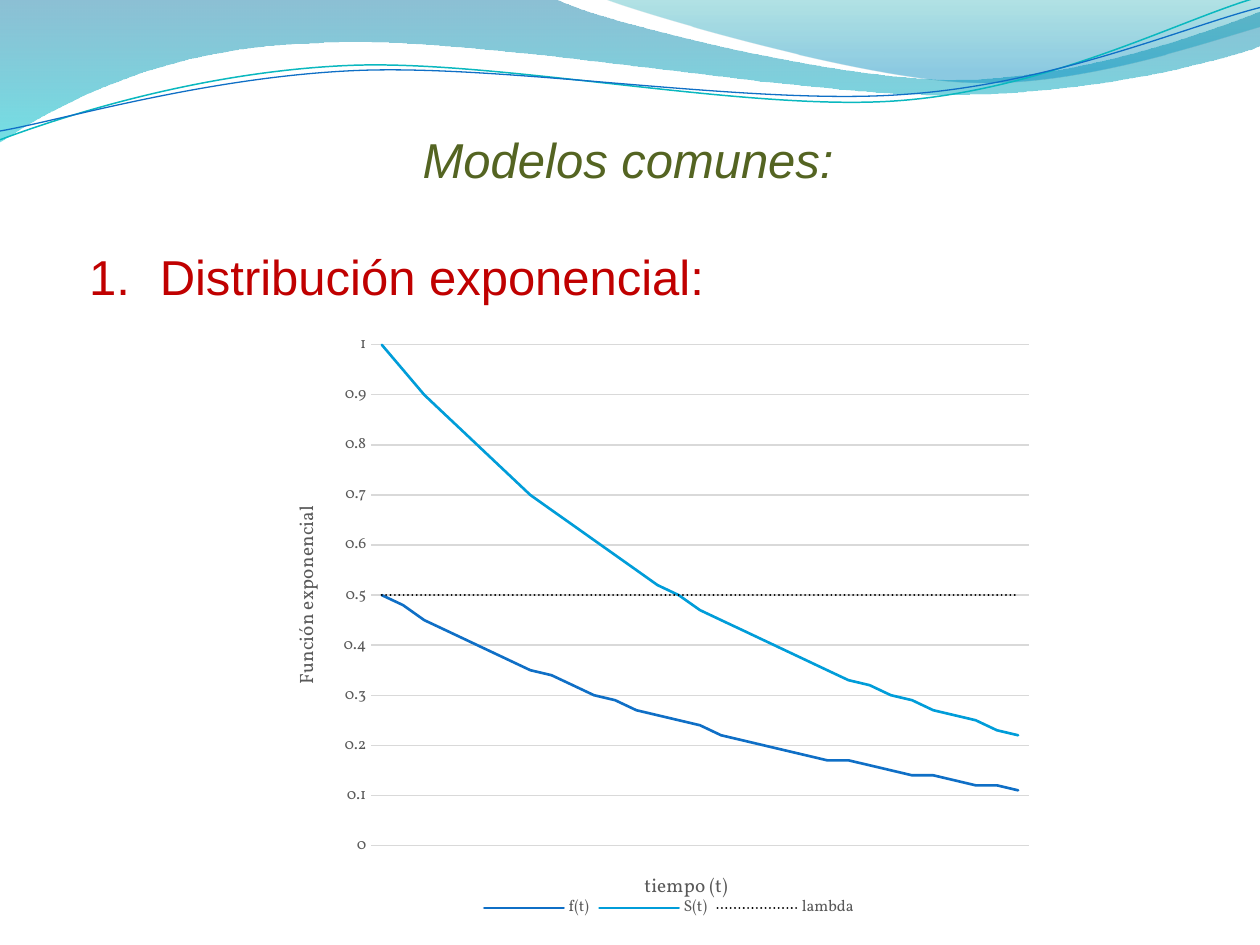
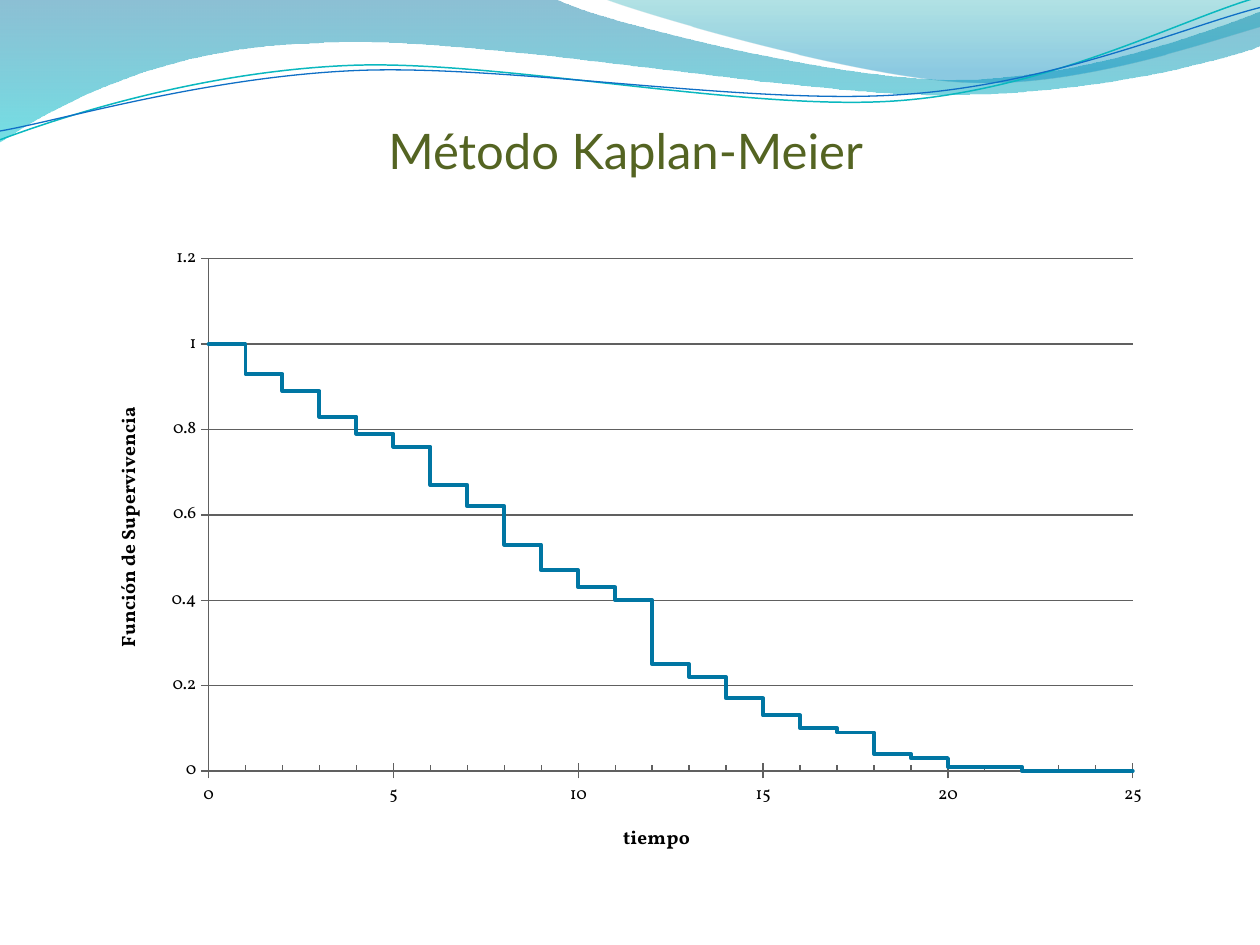
from math import exp

from lxml import etree
from pptx import Presentation
from pptx.chart.data import CategoryChartData, XyChartData
from pptx.dml.color import RGBColor
from pptx.enum.chart import XL_CHART_TYPE, XL_LEGEND_POSITION, XL_TICK_MARK
from pptx.enum.dml import MSO_LINE
from pptx.enum.text import MSO_ANCHOR, PP_ALIGN
from pptx.oxml import parse_xml
from pptx.oxml.ns import nsdecls, qn
from pptx.util import Inches, Pt

LINE, SCATTER = XL_CHART_TYPE.LINE, XL_CHART_TYPE.XY_SCATTER_LINES_NO_MARKERS
NO_TICK, CROSS = XL_TICK_MARK.NONE, XL_TICK_MARK.CROSS
INSIDE, OUTSIDE = XL_TICK_MARK.INSIDE, XL_TICK_MARK.OUTSIDE

OLIVE = RGBColor(0x54, 0x64, 0x22)
RED = RGBColor(0xC0, 0x00, 0x00)
BLUE = RGBColor(0x0F, 0x6F, 0xC6)
SKY = RGBColor(0x00, 0x9D, 0xD9)
STEP_BLUE = RGBColor(0x00, 0x76, 0xA3)
TEAL = RGBColor(0x0A, 0xB8, 0xBF)
BLACK = RGBColor(0x00, 0x00, 0x00)
TEXT_GRAY = RGBColor(0x59, 0x59, 0x59)
AXIS_GRAY = RGBColor(0x60, 0x60, 0x60)
GRID_GRAY = RGBColor(0xD9, 0xD9, 0xD9)

# Each outline: a start point, then 2 numbers for a line or 6 for a Bezier curve.
# Gradient stops: position %, colour, opacity %.
BANDS = [
    ([(0, 0), (4.4, -0.01), (4.76, 0.17, 6.64, 0.63, 7.58, 0.63),
      (8.53, 0.63, 9.58, 0.26, 10, 0.09), (10.01, 0.36),
      (9.83, 0.44, 8.7, 0.76, 7.46, 0.75), (6.22, 0.75, 3.82, 0.28, 2.57, 0.34),
      (1.29, 0.36, 0.46, 0.83, -0.01, 1.13)],
     [(0, "0074A1", 45), (100, "00C6CF", 55)]),
    ([(4.79, -0.01), (5.09, 0.11, 6.82, 0.62, 7.69, 0.65),
      (8.56, 0.69, 9.61, 0.32, 10, 0.21), (10, 0)],
     [(0, "00A1A9", 30), (80, "008BBF", 45)]),
]
WAVES = [
    ([(0, 1.11), (0.48, 0.93, 1.58, 0.57, 2.77, 0.52),
      (3.95, 0.47, 5.93, 0.89, 7.13, 0.8), (8.33, 0.71, 9.38, 0.15, 9.98, -0.02)], TEAL, 0.85),
    ([(0, 1.04), (0.47, 0.96, 1.64, 0.61, 2.83, 0.56),
      (4.03, 0.51, 5.97, 0.84, 7.17, 0.75), (8.36, 0.67, 9.41, 0.21, 10, 0.06)], BLUE, 0.75),
]


def add_outline(s, outline, close):
    """Draw an outline in inches: first as lines, then each three lines become one curve."""
    points = [(Inches(part[i]), Inches(part[i + 1]))
              for part in outline for i in range(0, len(part), 2)]
    builder = s.shapes.build_freeform(*points[0])
    builder.add_line_segments(points[1:], close=close)
    sp = builder.convert_to_shape()
    sp.shadow.inherit = False
    segments = iter(list(sp._element.iter(qn("a:lnTo"))))
    for part in outline[1:]:
        curve = next(segments)
        if len(part) == 6:
            curve.tag = qn("a:cubicBezTo")
            for _ in range(2):
                line = next(segments)
                curve.append(line[0])
                line.getparent().remove(line)
    return sp


def style_chart(chart, titles, plot, color, bold, grid_color):
    """Set font, axis titles, gridlines and inner plot area (fractions of the chart)."""
    chart.has_title = False
    chart.font.name = "Vollkorn"
    chart.font.size = Pt(10)
    chart.font.color.rgb = color
    chart.plots[0].vary_by_categories = False
    for axis, title in zip((chart.category_axis, chart.value_axis), titles):
        tf = axis.axis_title.text_frame
        tf.text = title
        font = tf.paragraphs[0].font
        font.name, font.size, font.bold = "Vollkorn", Pt(11), bold
        font.color.rgb = color
    body = chart.value_axis.axis_title.text_frame._txBody.bodyPr
    body.set("rot", "-5400000")
    body.set("vert", "horz")
    chart.category_axis.has_major_gridlines = False
    grid = chart.value_axis.major_gridlines.format.line
    grid.color.rgb, grid.width = grid_color, Pt(0.75)
    for series in chart.plots[0].series:
        series.smooth = False
        series.format.line._get_or_add_ln().set("cap", "rnd")

    area = chart._chartSpace.chart.plotArea
    for old in area.findall(qn("c:layout")):
        area.remove(old)
    layout = parse_xml(f'<c:layout {nsdecls("c")}><c:manualLayout/></c:layout>')
    values = [("layoutTarget", "inner"), ("xMode", "edge"), ("yMode", "edge"),
              *zip("xywh", plot)]
    for tag, value in values:
        etree.SubElement(layout[0], qn(f"c:{tag}")).set("val", str(value))
    area.insert(0, layout)


prs = Presentation()
prs.slide_width, prs.slide_height = Inches(10), Inches(7.5)
blank = prs.slide_layouts[6]
for placeholder in list(blank.placeholders):
    placeholder._element.getparent().remove(placeholder._element)
slides = [prs.slides.add_slide(blank) for _ in range(2)]

# Bands and waves are drawn once and moved to the layout that both slides use
s = slides[0]
for outline, stops in BANDS:
    sp = add_outline(s, outline, True)
    sp.line.fill.background()
    stop_xml = "".join(
        f'<a:gs pos="{pos * 1000}"><a:srgbClr val="{color}">'
        f'<a:alpha val="{alpha * 1000}"/></a:srgbClr></a:gs>' for pos, color, alpha in stops)
    sp._element.spPr.find(qn("a:custGeom")).addnext(parse_xml(
        f'<a:gradFill {nsdecls("a")} rotWithShape="1"><a:gsLst>{stop_xml}</a:gsLst>'
        '<a:lin ang="5400000" scaled="0"/></a:gradFill>'))
for outline, color, width in WAVES:
    sp = add_outline(s, outline, False)
    sp.fill.background()
    sp.line.color.rgb, sp.line.width = color, Pt(width)
for sp in list(s.shapes):
    blank.shapes._spTree.append(sp._element)

# Titles
text_frames = []
for s, title, font_name, italic, left, top, height in [
        (slides[0], "Modelos comunes:", "Arial", True, 0.61, 0.98, 1.99),
        (slides[1], "Método Kaplan-Meier", "Lato", False, 0.59, 0.91, 0.57)]:
    tf = s.shapes.add_textbox(Inches(left), Inches(top), Inches(8.75), Inches(height)).text_frame
    tf.word_wrap = True
    tf.vertical_anchor = MSO_ANCHOR.TOP
    p = tf.paragraphs[0]
    p.text = title
    p.alignment = PP_ALIGN.CENTER
    p.font.name, p.font.size, p.font.italic = font_name, Pt(28), italic
    p.font.color.rgb = OLIVE
    text_frames.append(tf)

# Slide 1: exponential distribution
p = text_frames[0].add_paragraph()
p.text = "Distribución exponencial:"
p.alignment = PP_ALIGN.JUSTIFY
p.space_before = Pt(33)
p.font.name, p.font.size = "Arial", Pt(28)
p.font.color.rgb = RED
pPr = p._p.get_or_add_pPr()
pPr.set("marL", str(Inches(0.56)))
pPr.set("indent", str(Inches(-0.56)))
pPr.find(qn("a:spcBef")).addnext(
    parse_xml(f'<a:buAutoNum {nsdecls("a")} type="arabicPeriod"/>'))

RATE = 0.5
times = [i / 10 for i in range(31)]
data = CategoryChartData()
data.categories = [str(i + 1) for i in range(len(times))]
data.add_series("f(t)", [round(RATE * exp(-RATE * t), 2) for t in times])
data.add_series("S(t)", [round(exp(-RATE * t), 2) for t in times])
data.add_series("lambda", [RATE] * len(times))
chart = slides[0].shapes.add_chart(
    LINE, Inches(2.24), Inches(2.57), Inches(6.14), Inches(4.76), data).chart
style_chart(chart, ("tiempo (t)", "Función exponencial"),
            (0.115, 0.035, 0.85, 0.835), TEXT_GRAY, False, GRID_GRAY)
for series, color, width in zip(chart.plots[0].series, (BLUE, SKY, BLACK), (1.5, 1.5, 1.25)):
    series.format.line.color.rgb, series.format.line.width = color, Pt(width)
series.format.line.dash_style = MSO_LINE.ROUND_DOT
chart.category_axis.visible = False
axis = chart.value_axis
axis.major_tick_mark = axis.minor_tick_mark = NO_TICK
axis.format.line.fill.background()
axis.tick_labels.font.size = Pt(9)
axis.minimum_scale, axis.maximum_scale, axis.major_unit = 0, 1, 0.1
chart.has_legend = True
chart.legend.position = XL_LEGEND_POSITION.BOTTOM
chart.legend.include_in_layout = False
chart.legend.font.name, chart.legend.font.size = "Vollkorn", Pt(9)
chart.legend.font.color.rgb = TEXT_GRAY

# Slide 2: survival falls in steps, one level per unit of time
survival = [1, 0.93, 0.89, 0.83, 0.79, 0.76, 0.67, 0.62, 0.53, 0.47, 0.43, 0.4, 0.25,
            0.22, 0.17, 0.13, 0.1, 0.09, 0.04, 0.03, 0.01, 0.01, 0, 0, 0]
data = XyChartData()
series = data.add_series("Series 1")
for t, level in enumerate(survival):
    series.add_data_point(t, level)
    series.add_data_point(t + 1, level)
chart = slides[1].shapes.add_chart(
    SCATTER, Inches(0.7), Inches(1.86), Inches(8.53), Inches(5.12), data).chart
style_chart(chart, ("tiempo", "Función de Supervivencia"),
            (0.112, 0.038, 0.86, 0.794), BLACK, True, AXIS_GRAY)
chart.has_legend = False
line = chart.plots[0].series[0].format.line
line.color.rgb, line.width = STEP_BLUE, Pt(2.25)
for axis, top, unit, major, minor in [
        (chart.category_axis, 25, 5, CROSS, INSIDE),
        (chart.value_axis, 1.2, 0.2, OUTSIDE, NO_TICK)]:
    axis.minimum_scale, axis.maximum_scale, axis.major_unit = 0, top, unit
    axis.major_tick_mark, axis.minor_tick_mark = major, minor
    axis.format.line.color.rgb, axis.format.line.width = AXIS_GRAY, Pt(0.75)
minor_unit = parse_xml(f'<c:minorUnit {nsdecls("c")} val="1"/>')
chart.category_axis._element.find(qn("c:majorUnit")).addnext(minor_unit)

prs.save("out.pptx")
